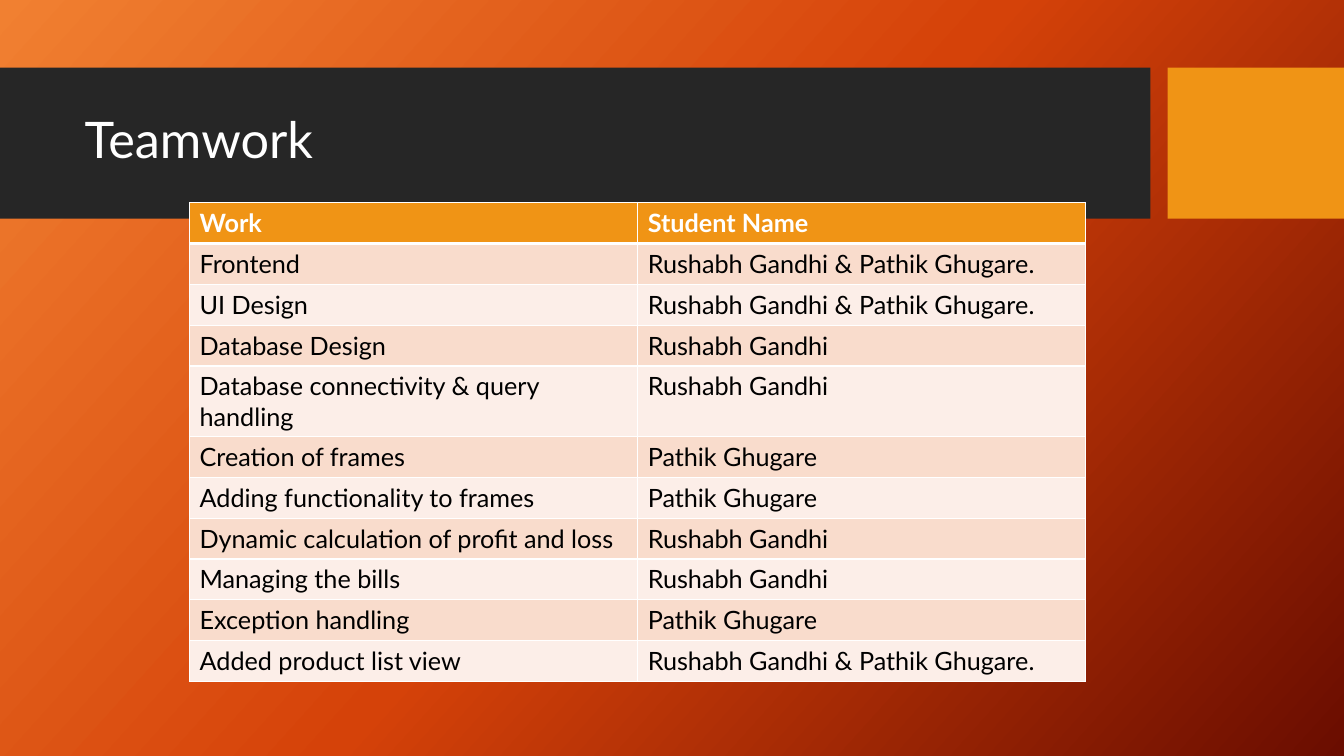
from copy import deepcopy

from lxml.etree import SubElement
from pptx import Presentation
from pptx.dml.color import RGBColor
from pptx.enum.shapes import MSO_SHAPE
from pptx.enum.text import MSO_ANCHOR, PP_ALIGN
from pptx.oxml.ns import qn
from pptx.util import Inches, Pt

FONT = "Lato"
TITLE = "Teamwork"
BOTH = "Rushabh Gandhi & Pathik Ghugare."
RUSHABH = "Rushabh Gandhi"
PATHIK = "Pathik Ghugare"
ROWS = [
    ("Work", "Student Name"),
    ("Frontend", BOTH),
    ("UI Design", BOTH),
    ("Database Design", RUSHABH),
    ("Database connectivity & query handling", RUSHABH),
    ("Creation of frames", PATHIK),
    ("Adding functionality to frames", PATHIK),
    ("Dynamic calculation of profit and loss", RUSHABH),
    ("Managing the bills", RUSHABH),
    ("Exception handling", PATHIK),
    ("Added product list view", BOTH),
]
STOPS = [(0, "F18031"), (0.5, "D54209"), (1, "6A0D00")]
BARS = [(0, 11.41, "262626"), (11.58, 1.75, "F09415")]  # left, width, fill
HEAD, BANDS = "F09415", ("F9DCCC", "FCEEE8")
WHITE, BLACK = "FFFFFF", "000000"


def paint(fill, color):
    fill.solid()
    fill.fore_color.rgb = RGBColor.from_string(color)


def write(frame, text, size, color, bold=False):
    run = frame.paragraphs[0].add_run()
    run.text = text
    run.font.name, run.font.size, run.font.bold = FONT, Pt(size), bold
    run.font.color.rgb = RGBColor.from_string(color)


def shade(slide):
    """Fill the slide background with the diagonal gradient."""
    fill = slide.background.fill
    fill.gradient()
    fill.gradient_angle = 360 - 42
    stops = next(slide.element.iter(qn("a:gsLst")))
    stops.insert(1, deepcopy(stops[0]))
    for stop, (pos, color) in zip(fill.gradient_stops, STOPS):
        stop.position = pos
        stop.color.rgb = RGBColor.from_string(color)


def edge(cell, base):
    """Draw white borders; base is the width of the bottom one."""
    props = cell._tc.get_or_add_tcPr()
    for side, width in (("L", 1), ("R", 1), ("T", 1), ("B", base)):
        line = SubElement(props, qn(f"a:ln{side}"), w=str(Pt(width)))
        solid = SubElement(line, qn("a:solidFill"))
        SubElement(solid, qn("a:srgbClr"), val=WHITE)


def main():
    deck = Presentation()
    deck.slide_width, deck.slide_height = Inches(13.33), Inches(7.5)
    slide = deck.slides.add_slide(deck.slide_layouts[5])
    shade(slide)

    for left, width, color in BARS:
        bar = slide.shapes.add_shape(MSO_SHAPE.RECTANGLE, Inches(left),
                                     Inches(0.67), Inches(width), Inches(1.5))
        bar.shadow.inherit = False
        paint(bar.fill, color)
        bar.line.fill.background()

    title = slide.shapes.title
    title.left, title.top = Inches(0.74), Inches(0.82)
    title.width, title.height = Inches(10.51), Inches(1.18)
    frame = title.text_frame
    frame.vertical_anchor = MSO_ANCHOR.MIDDLE
    frame.paragraphs[0].alignment = PP_ALIGN.LEFT
    frame.paragraphs[0].line_spacing = 0.9
    write(frame, TITLE, 36, WHITE)
    slide.shapes._spTree.append(title._element)  # in front of the bars

    table = slide.shapes.add_table(len(ROWS), 2, Inches(1.88), Inches(2.01),
                                   Inches(8.89), Inches(4.46)).table
    for r, row in enumerate(ROWS):
        head = r == 0
        for c, text in enumerate(row):
            cell = table.cell(r, c)
            edge(cell, 3 if head else 1)
            paint(cell.fill, HEAD if head else BANDS[(r - 1) % 2])
            write(cell.text_frame, text, 18, WHITE if head else BLACK, head)

    deck.save("out.pptx")


if __name__ == "__main__":
    main()
